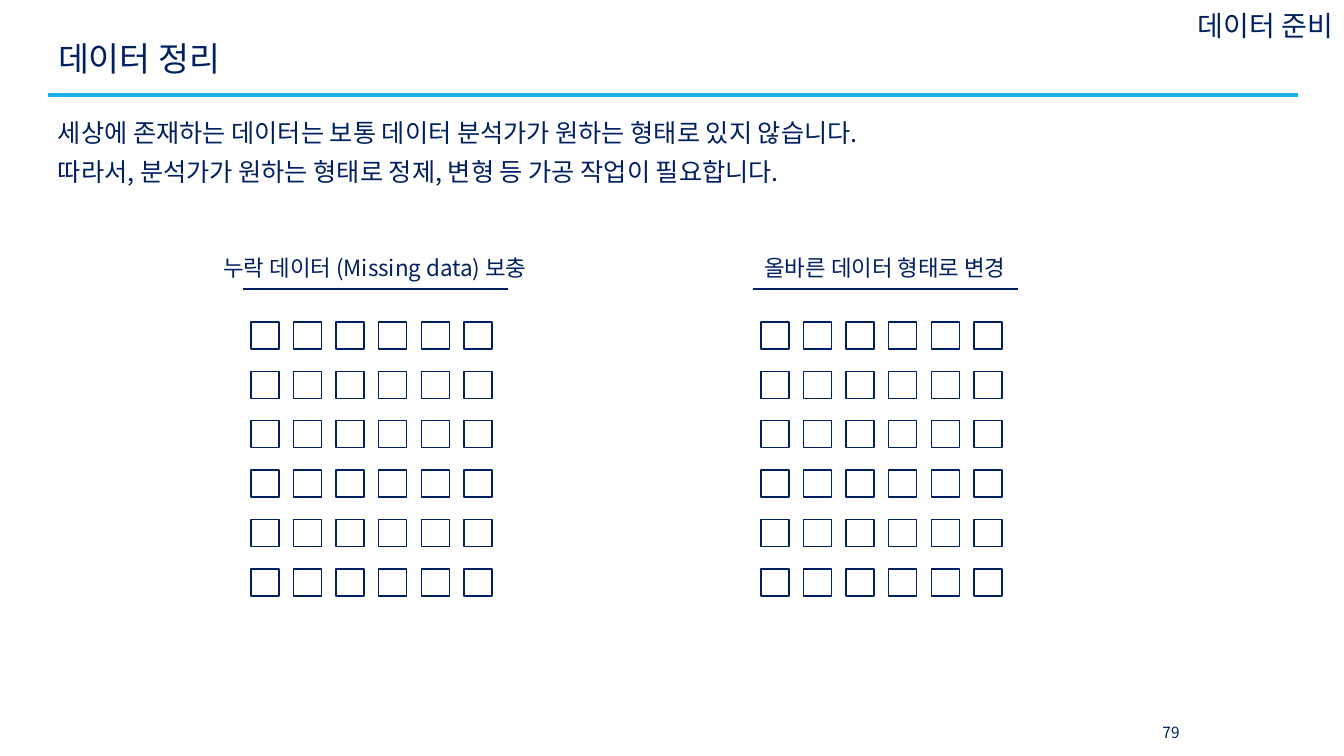
from lxml.etree import SubElement
from pptx import Presentation
from pptx.dml.color import RGBColor
from pptx.enum.shapes import MSO_CONNECTOR, MSO_SHAPE
from pptx.enum.text import MSO_ANCHOR, PP_ALIGN
from pptx.oxml.ns import qn
from pptx.util import Pt

PX = 914400 / 100.8
NAVY = "002060"
FONT = "Noto Sans CJK KR"


def write(box, place, lines, size, align=PP_ALIGN.LEFT, anchor=MSO_ANCHOR.MIDDLE, wrap=True, spacing=None):
    box.left, box.top, box.width, box.height = [round(n * PX) for n in place]
    frame = box.text_frame
    frame.word_wrap = wrap
    frame.vertical_anchor = anchor
    para = frame.paragraphs[0]
    para.alignment = align
    para.line_spacing = spacing
    for index, line in enumerate(lines):
        if index:
            para.add_line_break()
        span = para.add_run()
        span.text = line
        span.font.size = Pt(size)
        span.font.name = FONT
        span.font.color.rgb = RGBColor.from_string(NAVY)
        SubElement(span.font._element, qn("a:ea")).set("typeface", FONT)


def rule(left, right, y, color, weight):
    line = page.shapes.add_connector(
        MSO_CONNECTOR.STRAIGHT, *[round(n * PX) for n in (left, y, right, y)])
    line.line.color.rgb = RGBColor.from_string(color)
    line.line.width = Pt(weight)
    SubElement(line._element.spPr, qn("a:effectLst"))


deck = Presentation()
deck.slide_width = round(1344 * PX)
deck.slide_height = round(756 * PX)
page = deck.slides.add_slide(deck.slide_layouts[5])

rule(48, 1298, 95, "1CADE4", 2.25)
write(page.shapes.title, (48, 29, 1250, 64), ["데이터 정리"], 24, spacing=0.9)

body = page.shapes.add_textbox(0, 0, 0, 0)
write(body, (48, 103, 1250, 127),
      ["세상에 존재하는 데이터는 보통 데이터 분석가가 원하는 형태로 있지 않습니다.",
       "따라서, 분석가가 원하는 형태로 정제, 변형 등 가공 작업이 필요합니다."],
      18, anchor=MSO_ANCHOR.TOP, spacing=Pt(28))

page_number = page.shapes.add_textbox(0, 0, 0, 0)
write(page_number, (1139, 712, 64, 40), ["79"], 11, PP_ALIGN.CENTER)

section = page.shapes.add_textbox(0, 0, 0, 0)
write(section, (933, 4, 410, 43), ["데이터 준비"], 20, PP_ALIGN.RIGHT, wrap=False)

grids = [
    (251, "누락 데이터 (Missing data) 보충", {(1, 4), (2, 1), (3, 3), (4, 2)}),
    (761, "올바른 데이터 형태로 변경", {(1, 1), (2, 2)}),
]
for left, heading, filled_cells in grids:
    label = page.shapes.add_textbox(0, 0, 0, 0)
    write(label, (left - 76, 246, 400, 43), [heading], 16, PP_ALIGN.CENTER, wrap=False)
    rule(left - 8, left + 257, 289, NAVY, 0.75)
    for row in range(6):
        for column in range(6):
            cell = page.shapes.add_shape(
                MSO_SHAPE.RECTANGLE,
                round((left + column * 213 / 5) * PX), round((322 + row * 247 / 5) * PX),
                round(28 * PX), round(27 * PX))
            cell.shadow.inherit = False
            cell.line.color.rgb = RGBColor.from_string(NAVY)
            cell.line.width = Pt(1)
            if (row, column) in filled_cells:
                cell.fill.solid()
                cell.fill.fore_color.rgb = RGBColor.from_string("FFFFFF")
            else:
                cell.fill.background()

deck.save("out.pptx")
